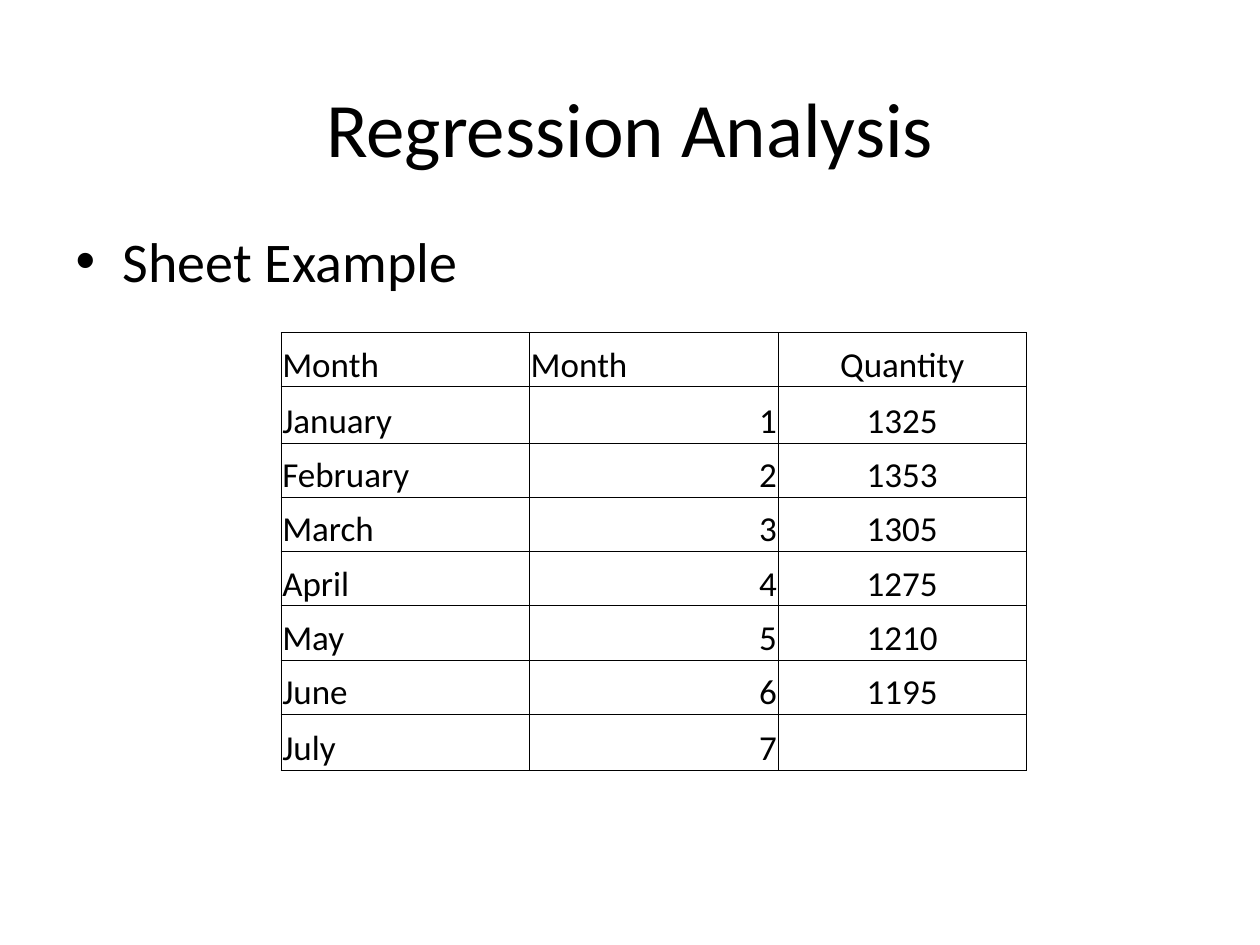
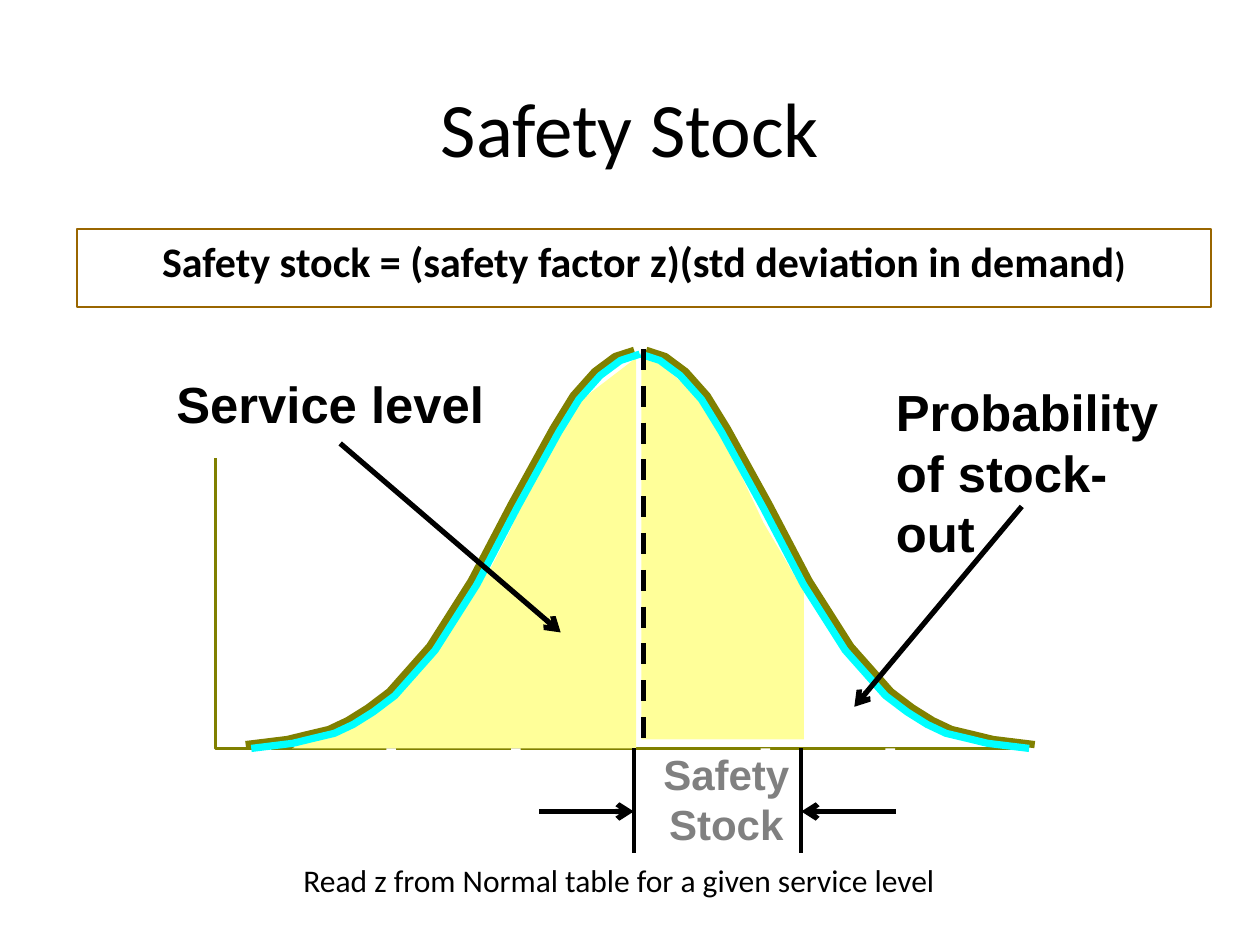
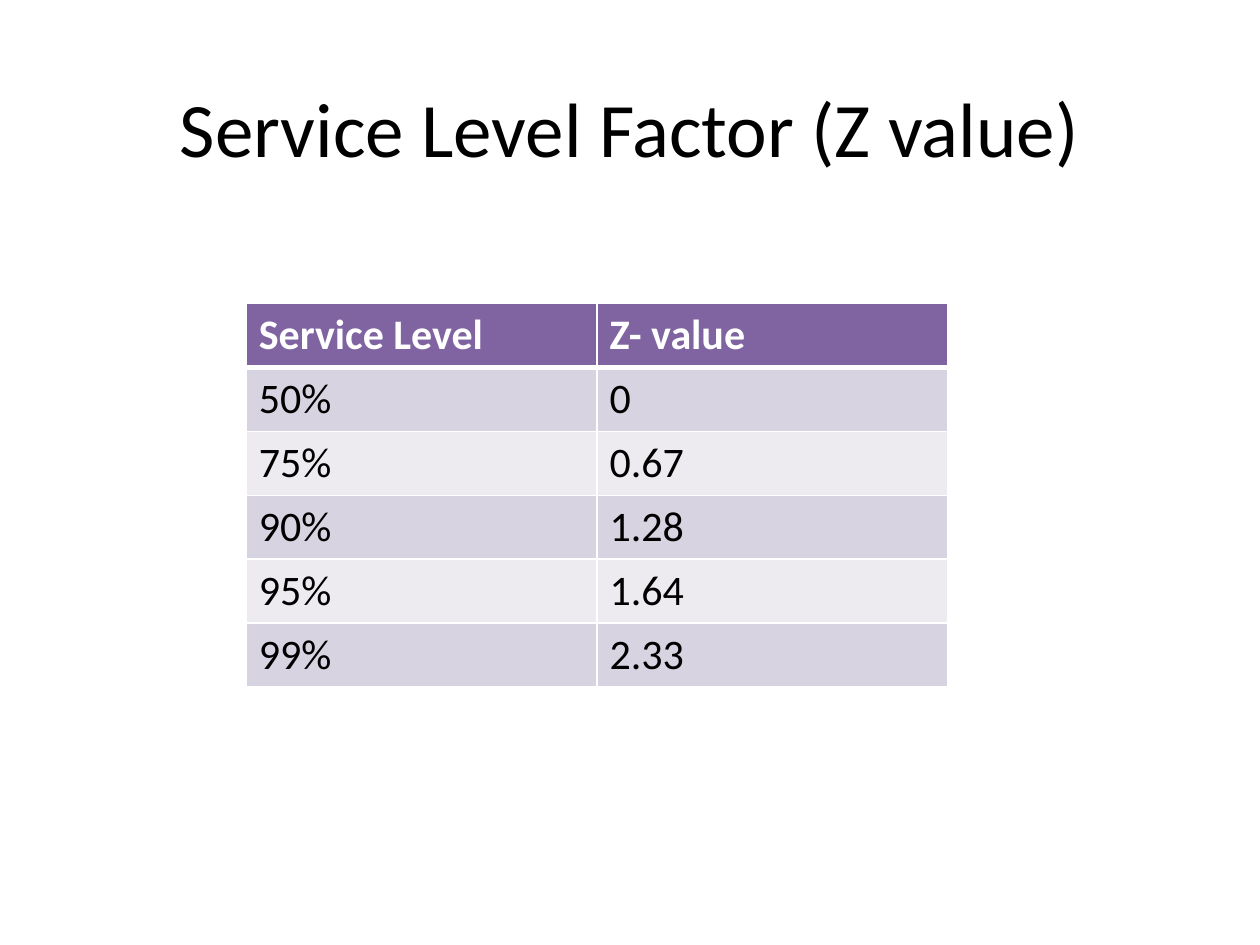
from lxml import etree
from pptx import Presentation
from pptx.dml.color import RGBColor as Rgb
from pptx.enum import dml, shapes, text
from pptx.oxml import ns
from pptx.util import Pt

HUES = {
    "ink": "000000", "white": "FFFFFF", "olive": "808000", "cyan": "00FFFF",
    "cream": "FFFF99", "grey": "808080", "brown": "996600",
    "head": "8064A2", "odd": "D8D3E0", "even": "EDEAF0",
}
HUES = {name: Rgb.from_string(code) for name, code in HUES.items()}
LEFT, MID, RIGHT = text.PP_ALIGN.LEFT, text.PP_ALIGN.CENTER, text.PP_ALIGN.RIGHT


def grid(slide, spot, rows, highs, wide, size, aligns, fills, inks, rule, pads, anchor):
    frame = slide.shapes.add_table(
        len(rows), len(rows[0]), Pt(spot[0]), Pt(spot[1]),
        Pt(wide * len(rows[0])), Pt(sum(highs)))
    table = frame.table
    table.first_row = table.horz_banding = False
    for col in table.columns:
        col.width = Pt(wide)
    for r, row in enumerate(rows):
        table.rows[r].height = Pt(highs[r])
        for c, words in enumerate(row):
            cell = table.cell(r, c)
            cell.margin_left, cell.margin_top, cell.margin_right, cell.margin_bottom = map(Pt, pads)
            cell.vertical_anchor = anchor
            cell.text = words
            para = cell.text_frame.paragraphs[0]
            para.alignment = aligns[r > 0][c]
            para.font.name, para.font.size = "Calibri", Pt(size)
            para.font.bold = inks[r] == "white"
            para.font.color.rgb = HUES[inks[r]]
            props = cell._tc.get_or_add_tcPr()
            for side in "LRTB":
                thick = 3 if fills[r] == "head" and side == "B" else rule[1]
                edge = etree.SubElement(props, ns.qn("a:ln" + side), w=str(Pt(thick)))
                solid = etree.SubElement(edge, ns.qn("a:solidFill"))
                etree.SubElement(solid, ns.qn("a:srgbClr"), val=str(HUES[rule[0]]))
            if fills[r]:
                cell.fill.solid()
                cell.fill.fore_color.rgb = HUES[fills[r]]
            else:
                cell.fill.background()


def trace(slide, spots, fill=None, line=None, wide=0):
    first, *rest = [(Pt(x), Pt(y)) for x, y in spots]
    pen = slide.shapes.build_freeform(*first)
    pen.add_line_segments(rest, close=fill is not None)
    shape = pen.convert_to_shape()
    shape.shadow.inherit = False
    if fill:
        shape.fill.solid()
        shape.fill.fore_color.rgb = HUES[fill]
    else:
        shape.fill.background()
    if line:
        shape.line.color.rgb = HUES[line]
        shape.line.width = Pt(wide)
    else:
        shape.line.fill.background()


deck = Presentation()
deck.slide_width, deck.slide_height = Pt(720), Pt(540)

pages = []
for title, kind in [("Regression Analysis", 1), ("Safety Stock", 5), ("Service Level Factor (Z value)", 5)]:
    page = deck.slides.add_slide(deck.slide_layouts[kind])
    head = page.shapes.title
    head.left, head.top, head.width, head.height = Pt(36), Pt(27.4), Pt(648), Pt(90)
    head.text = title
    para = head.text_frame.paragraphs[0]
    para.alignment = MID
    para.font.name, para.font.size = "Calibri", Pt(44)
    para.font.color.rgb = HUES["ink"]
    pages.append(page)
sales, stock, level = pages

body = sales.placeholders[1]
body.left, body.top, body.width, body.height = Pt(36), Pt(126), Pt(648), Pt(356.4)
body.text = "Sheet Example"
para = body.text_frame.paragraphs[0]
para.font.name, para.font.size = "Calibri", Pt(32)
para.font.color.rgb = HUES["ink"]

months = ["January", "February", "March", "April", "May", "June", "July"]
units = ["1325", "1353", "1305", "1275", "1210", "1195", ""]
rows = [("Month", "Month", "Quantity")]
rows += [(month, str(n), unit) for n, (month, unit) in enumerate(zip(months, units), 1)]
grid(sales, (160.6, 190), rows, [31, 32.2] + [31] * 5 + [32.2], 142, 20,
     [(LEFT, LEFT, MID), (LEFT, RIGHT, MID)], [None] * 8, ["ink"] * 8,
     ("ink", 0.5), (0.7, 0.7, 0.7, 0), text.MSO_ANCHOR.BOTTOM)

base = 427.7
trace(stock, [(123.1, 262), (123.1, base), (586.8, base)], line="olive", wide=2)
trace(stock, [(366.5, 199.4), (398.9, 226.1), (412.6, 244.1), (419, 262.1), (436.3, 298.8),
              (448.6, 319.7), (459.4, 338.4), (459.4, 422.6), (366.5, 422.6)], fill="cream")
trace(stock, [(363.6, 204.5), (329.8, 230.4), (316.8, 248.4), (303.1, 275), (291.6, 303.1),
              (280.8, 324), (231.1, 391.7), (199.4, 410.4), (167, base), (363.6, base)], fill="cream")

for n in (0, 1, 2, 4, 5):
    gap = stock.shapes.add_shape(shapes.MSO_SHAPE.RECTANGLE,
                                 Pt(149.5 + 71.3 * n), Pt(base), Pt(5.5), Pt(2.2))
    gap.shadow.inherit = False
    gap.fill.solid()
    gap.fill.fore_color.rgb = HUES["white"]
    gap.line.fill.background()

bell = [(140.4, 425.5), (164.2, 422.6), (175.7, 419.8), (187.9, 416.9), (198.7, 411.8),
        (210.2, 404.6), (222.5, 395.3), (245.5, 369.4), (269.3, 331.9), (292.3, 288),
        (304.6, 265.7), (316.1, 244.8), (327.6, 226.1), (339.8, 212.4), (351.4, 203.8),
        (362.4, 200.2)]
for flip in (True, False):
    for hue, dx, dy in [("olive", 0, 0), ("cyan", 3.2, 2.2)]:
        half = [(x + dx, y + dy) for x, y in bell]
        trace(stock, [(731.7 - x, y) for x, y in half] if flip else half, line=hue, wide=4.13)

notes = [
    (["Service level"], (100.8, 213.1, 183.6, 34.6), "Arial", 29, True, "ink", LEFT, False, None, None),
    (["Safety ", "Stock"], (375.8, base, 78.5, 57.6), "Arial", 24, True, "grey", MID, False, None, None),
    (["Probability", "of stock-out"], (511.9, 217.4, 165, 69.8), "Arial", 29, True, "ink", LEFT, True, None, None),
    (["Safety stock = (safety factor z)(std deviation in demand"], (43.9, 131, 648, 44.6),
     "Calibri", 24, True, "ink", MID, True, "white", "brown"),
    (["Read z from Normal table for a given service level"], (166.3, 488.2, 383.8, 28.8),
     "Calibri", 18, False, "ink", LEFT, False, "white", None),
]
for lines, spot, face, size, bold, ink, align, wrap, fill, edge in notes:
    box = stock.shapes.add_textbox(*map(Pt, spot))
    frame = box.text_frame
    frame.word_wrap = wrap
    if fill:
        box.fill.solid()
        box.fill.fore_color.rgb = HUES[fill]
    else:
        frame.margin_left = frame.margin_top = frame.margin_right = frame.margin_bottom = 0
    if edge:
        box.line.color.rgb = HUES[edge]
        box.line.width = Pt(1)
    frame.text = "\n".join(lines)
    for para in frame.paragraphs:
        para.alignment = align
        para.font.name, para.font.size, para.font.bold = face, Pt(size), bold
        para.font.color.rgb = HUES[ink]
    if edge:
        tail = frame.paragraphs[0].add_run()
        tail.text = ")"
        tail.font.size = Pt(20)

low, high = 362.2, 457.9
strokes = [
    (low, base, low, 487.4, 2.25, None),
    (high, base, high, 487.4, 2.25, None),
    (367.9, 199.4, 367.9, base, 3, "dash"),
    (583.9, 289.4, 488.2, 403.9, 3, "arrow"),
    (194.4, 253.4, 320.4, 361.4, 3, "arrow"),
    (308.2, 463.7, low, 463.7, 3, "arrow"),
    (511.9, 463.7, high, 463.7, 3, "arrow"),
]
for *ends, wide, style in strokes:
    link = stock.shapes.add_connector(shapes.MSO_CONNECTOR.STRAIGHT, *map(Pt, ends))
    link.line.color.rgb = HUES["ink"]
    link.line.width = Pt(wide)
    if style == "dash":
        link.line.dash_style = dml.MSO_LINE.DASH
    if style == "arrow":
        etree.SubElement(link.line._get_or_add_ln(), ns.qn("a:tailEnd"), type="arrow")
    etree.SubElement(link._element.spPr, ns.qn("a:effectLst"))

rows = [("Service Level", "Z- value"), ("50%", "0"), ("75%", "0.67"),
        ("90%", "1.28"), ("95%", "1.64"), ("99%", "2.33")]
grid(level, (140.7, 173.5), rows, [36.4] * 6, 200.4, 24, [(LEFT, LEFT)] * 2,
     ["head"] + ["odd", "even"] * 2 + ["odd"], ["white"] + ["ink"] * 5,
     ("white", 1), (7.2, 3.6, 7.2, 3.6), text.MSO_ANCHOR.TOP)

deck.save("out.pptx")
